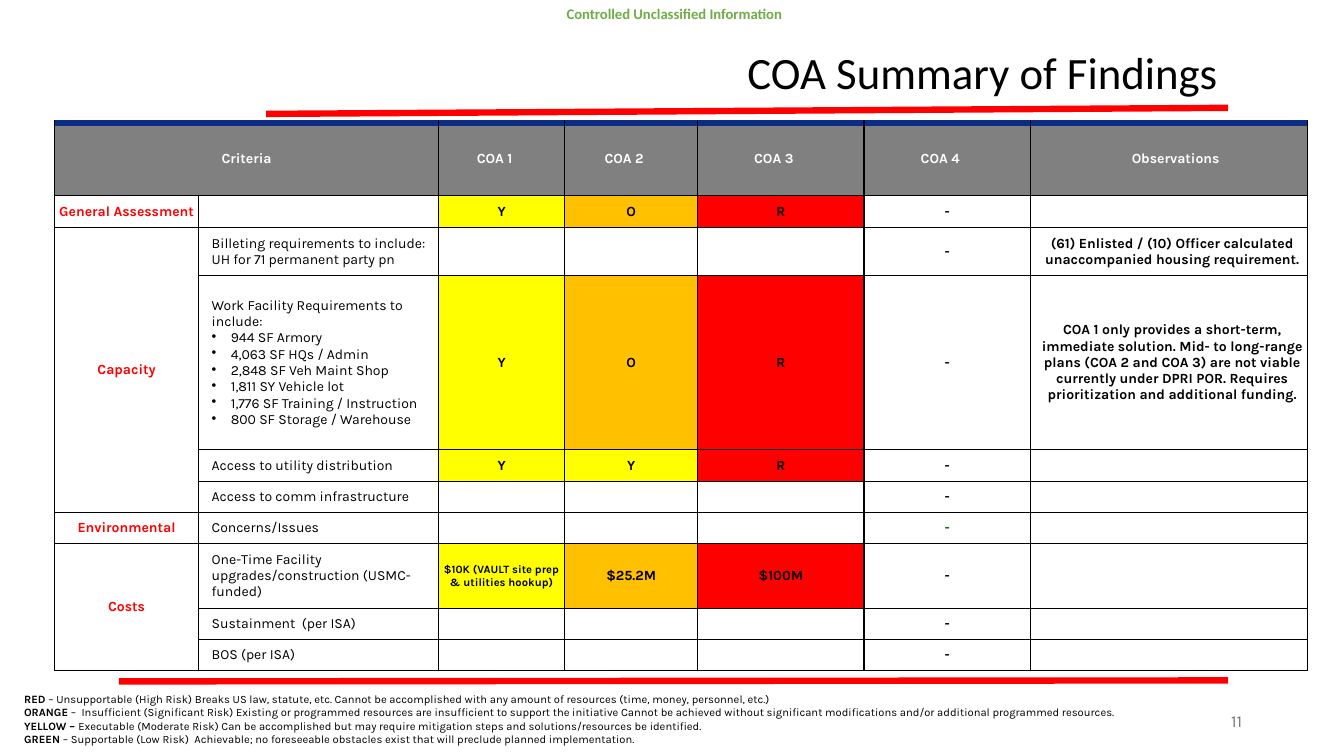
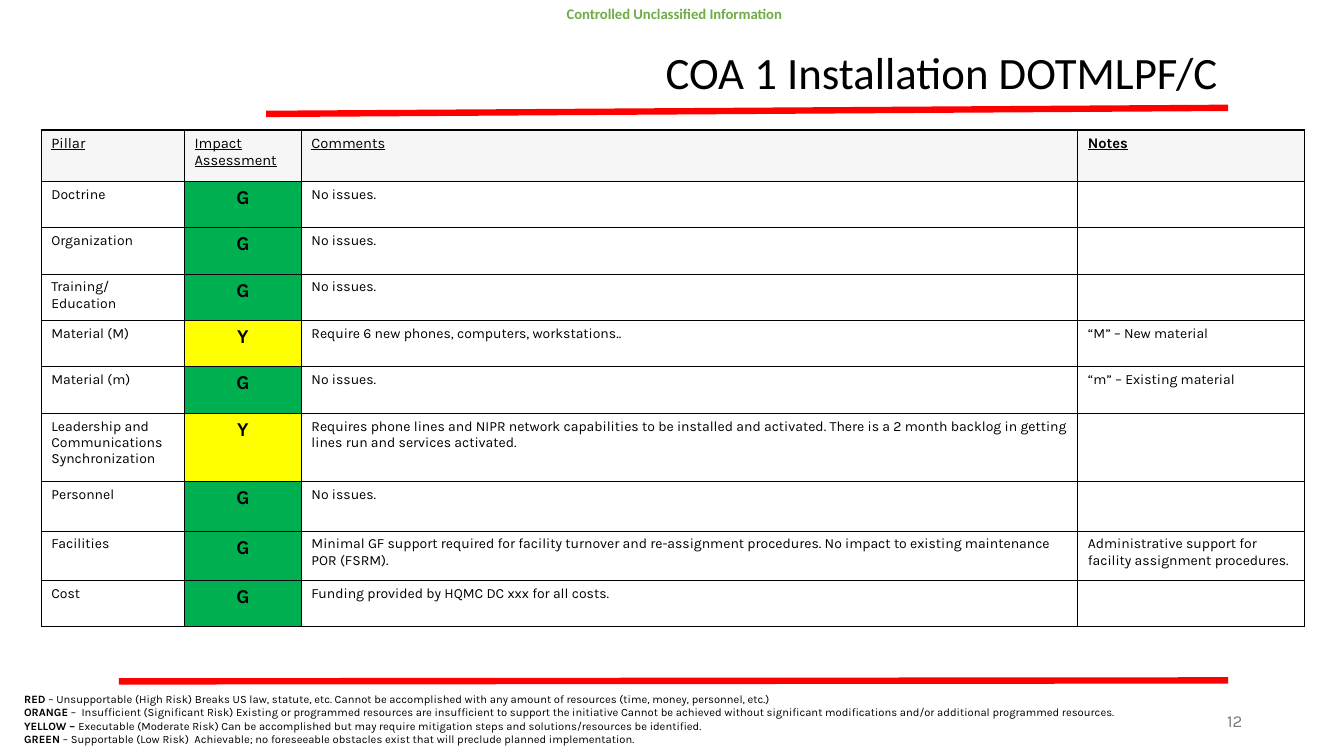
import pptx
import pptx.util
import pptx.dml.color
import pptx.enum.text
import pptx.enum.shapes
import pptx.oxml.ns
from lxml import etree

Pt = pptx.util.Pt
qn = pptx.oxml.ns.qn
ALIGN = pptx.enum.text.PP_ALIGN
MID = pptx.enum.text.MSO_ANCHOR.MIDDLE
TOP = pptx.enum.text.MSO_ANCHOR.TOP
SCALE = 9144
BLACK, WHITE, RED, NAVY = "000000", "FFFFFF", "FF0000", "0C2D83"
GREY, PALE, GREEN, DIM = "808080", "F6F6F6", "6FAC46", "797979"
YELLOW, ORANGE = "FFFF00", "FFC000"
PREP = "$10K (VAULT site prep & utilities hookup)"
TONES = {"Y": YELLOW, "O": ORANGE, "R": RED, "G": "00B050",
         PREP: YELLOW, "$25.2M": ORANGE, "$100M": RED}

MARK = "Controlled Unclassified Information"
LEGEND = [
    ("RED", " – Unsupportable (High Risk) Breaks US law, statute, etc. Cannot be accomplished with any amount of resources (time, money, personnel, etc.)"),
    ("ORANGE", " –  Insufficient (Significant Risk) Existing or programmed resources are insufficient to support the initiative Cannot be achieved without significant modifications and/or additional programmed resources."),
    ("YELLOW – ", "Executable (Moderate Risk) Can be accomplished but may require mitigation steps and solutions/resources be identified."),
    ("GREEN", " – Supportable (Low Risk)  Achievable; no foreseeable obstacles exist that will preclude planned implementation."),
]
RULES = [(264, 113, 1218, 107), (118, 676, 1218, 675)]

WORK = ["Work Facility Requirements to include:", "944 SF Armory",
        "4,063 SF HQs / Admin", "2,848 SF Veh Maint Shop",
        "1,811 SY Vehicle lot", "1,776 SF Training / Instruction",
        "800 SF Storage / Warehouse"]
FINDS = [
    ["Criteria", "", "COA 1", "COA 2", "COA 3", "COA 4", "Observations"],
    ["General Assessment", "", "Y", "O", "R", "-", ""],
    ["Capacity", "Billeting requirements to include: UH for 71 permanent party pn",
     "", "", "", "-",
     "(61) Enlisted / (10) Officer calculated unaccompanied housing requirement."],
    ["", "\n".join(WORK), "Y", "O", "R", "-",
     "COA 1 only provides a short-term, immediate solution. Mid- to long-range plans (COA 2 and COA 3) are not viable currently under DPRI POR. Requires prioritization and additional funding."],
    ["", "Access to utility distribution", "Y", "Y", "R", "-", ""],
    ["", "Access to comm infrastructure", "", "", "", "-", ""],
    ["Environmental", "Concerns/Issues", "", "", "", "-", ""],
    ["Costs", "One-Time Facility upgrades/construction (USMC- funded)",
     PREP, "$25.2M", "$100M", "-", ""],
    ["", "Sustainment  (per ISA)", "", "", "", "-", ""],
    ["", "BOS (per ISA)", "", "", "", "-", ""],
]
FIND_COLS = [143, 238, 125, 132, 165, 165, 275]
FIND_ROWS = [72, 32, 47, 173, 31, 31, 31, 63, 31, 31]
SPANS = [(0, 0, 0, 1), (2, 0, 5, 0), (7, 0, 9, 0)]

PILLARS = [
    ["Pillar", "Impact Assessment", "Comments", "Notes"],
    ["Doctrine", "G", "No issues.", ""],
    ["Organization", "G", "No issues.", ""],
    ["Training/ Education", "G", "No issues.", ""],
    ["Material (M)", "Y", "Require 6 new phones, computers, workstations..",
     "“M” – New material"],
    ["Material (m)", "G", "No issues.", "“m” – Existing material"],
    ["Leadership and Communications Synchronization", "Y",
     "Requires phone lines and NIPR network capabilities to be installed and activated. There is a 2 month backlog in getting lines run and services activated.", ""],
    ["Personnel", "G", "No issues.", ""],
    ["Facilities", "G",
     "Minimal GF support required for facility turnover and re-assignment procedures. No impact to existing maintenance POR (FSRM).",
     "Administrative support for facility assignment procedures."],
    ["Cost", "G", "Funding provided by HQMC DC xxx for all costs.", ""],
]
PILLAR_COLS = [142, 116, 770, 225]
PILLAR_ROWS = [51, 46, 46, 46, 46, 46, 68, 49, 49, 46]


def px(*nums):
    return [pptx.util.Emu(n * SCALE) for n in nums]


def rgb(code):
    return pptx.dml.color.RGBColor.from_string(code)


def style(run, size, color=BLACK, bold=False, face="Karla", under=False):
    font = run.font
    font.name, font.size, font.bold = face, Pt(size), bold
    font.underline = under
    font.color.rgb = rgb(color)


def label(slide, box, text, size, color, bold=False, face="Karla"):
    frame = slide.shapes.add_textbox(*px(*box)).text_frame
    frame.word_wrap = True
    frame.text = text
    style(frame.paragraphs[0].runs[0], size, color, bold, face)
    return frame


def edge(cell, first):
    props = cell._tc.get_or_add_tcPr()
    for side in "LRTB":
        thick = first and side == "T"
        line = etree.SubElement(props, qn("a:ln" + side),
                                w=str(Pt(4.56 if thick else 1)))
        fill = etree.SubElement(line, qn("a:solidFill"))
        etree.SubElement(fill, qn("a:srgbClr"), val=NAVY if thick else BLACK)


def bullet(para):
    props = para._p.get_or_add_pPr()
    step = px(19)[0]
    props.set("marL", str(step))
    props.set("indent", str(-step))
    etree.SubElement(props, qn("a:buChar"), char="•")


def write(cell, text, align, **look):
    cell.text_frame.text = text
    for para in cell.text_frame.paragraphs:
        para.alignment = align
        for run in para.runs:
            style(run, **look)
        if not para.runs:
            etree.SubElement(para._p, qn("a:endParaRPr"), sz="1000")


def find(cell, row, col, text):
    head = row == 0
    left, right = 0, 0
    if col == 1:
        left = 13
    elif col == 6:
        left = 13 if head else 6
    elif head and col > 1:
        right = 14
    cell.margin_left, cell.margin_top, cell.margin_right, cell.margin_bottom = px(left, 7, right, 7)
    cell.vertical_anchor = MID
    color = WHITE if head else RED if col == 0 else BLACK
    if text == "-" and FINDS[row][0] == "Environmental":
        color = "006600"
    write(cell, text, ALIGN.LEFT if col == 1 else ALIGN.CENTER,
          size=8 if text == PREP else 10, color=color, bold=col != 1)
    for para in cell.text_frame.paragraphs[1:]:
        bullet(para)
    return GREY if head else TONES.get(text, WHITE)


def pillar(cell, row, col, text):
    head = row == 0
    grade = text in TONES
    cell.vertical_anchor = TOP
    write(cell, text, ALIGN.CENTER if grade else ALIGN.LEFT,
          size=10.5 if head else 14 if grade else 10,
          bold=grade or (head and col == 3), under=head)
    return PALE if head else TONES.get(text, WHITE)


def grid(slide, left, top, cols, rows, data, paint, band=False, spans=()):
    box = px(left, top, sum(cols), sum(rows))
    table = slide.shapes.add_table(len(rows), len(cols), *box).table
    table.first_row = table.horz_banding = False
    for part, size in zip(table.columns, px(*cols)):
        part.width = size
    for part, size in zip(table.rows, px(*rows)):
        part.height = size
    for r, line in enumerate(data):
        for c, text in enumerate(line):
            cell = table.cell(r, c)
            edge(cell, band and r == 0)
            tone = paint(cell, r, c, text)
            cell.fill.solid()
            cell.fill.fore_color.rgb = rgb(tone)
    for r, c, low, far in spans:
        table.cell(r, c).merge(table.cell(low, far))


def page(deck, name, number):
    slide = deck.slides.add_slide(deck.slide_layouts[5])
    title = slide.shapes.title
    title.left, title.top, title.width, title.height = px(264, 40, 954, 68)
    title.text_frame.text = name
    title.text_frame.vertical_anchor = MID
    para = title.text_frame.paragraphs[0]
    para.alignment, para.line_spacing = ALIGN.RIGHT, 0.9
    style(para.runs[0], 32, face="Calibri")
    for ends in RULES:
        rule = slide.shapes.add_connector(
            pptx.enum.shapes.MSO_CONNECTOR.STRAIGHT, *px(*ends))
        rule.line.color.rgb = rgb(RED)
        rule.line.width = Pt(4.56)
        etree.SubElement(rule.element.spPr, qn("a:effectLst"))
    count = label(slide, (942, 695, 300, 40), str(number), 12, DIM)
    count.vertical_anchor = MID
    count.paragraphs[0].alignment = ALIGN.RIGHT
    mark = label(slide, (561, 3, 252, 19), MARK, 10.5, GREEN, True, "Calibri")
    mark.margin_left, mark.margin_top, mark.margin_right, mark.margin_bottom = px(1, 2, 0, 0)
    key = slide.shapes.add_textbox(*px(14, 682, 1272, 64)).text_frame
    key.word_wrap = True
    for i, (term, note) in enumerate(LEGEND):
        para = key.add_paragraph() if i else key.paragraphs[0]
        for text, bold in ((term, True), (note, False)):
            run = para.add_run()
            run.text = text
            style(run, 8, bold=bold)
    return slide


def main():
    deck = pptx.Presentation()
    deck.slide_width, deck.slide_height = px(1333, 750)
    slide = page(deck, "COA Summary of Findings", 11)
    grid(slide, 54, 122, FIND_COLS, FIND_ROWS, FINDS, find, True, SPANS)
    slide = page(deck, "COA 1 Installation DOTMLPF/C", 12)
    grid(slide, 41, 129, PILLAR_COLS, PILLAR_ROWS, PILLARS, pillar)
    deck.save("out.pptx")


if __name__ == "__main__":
    main()
